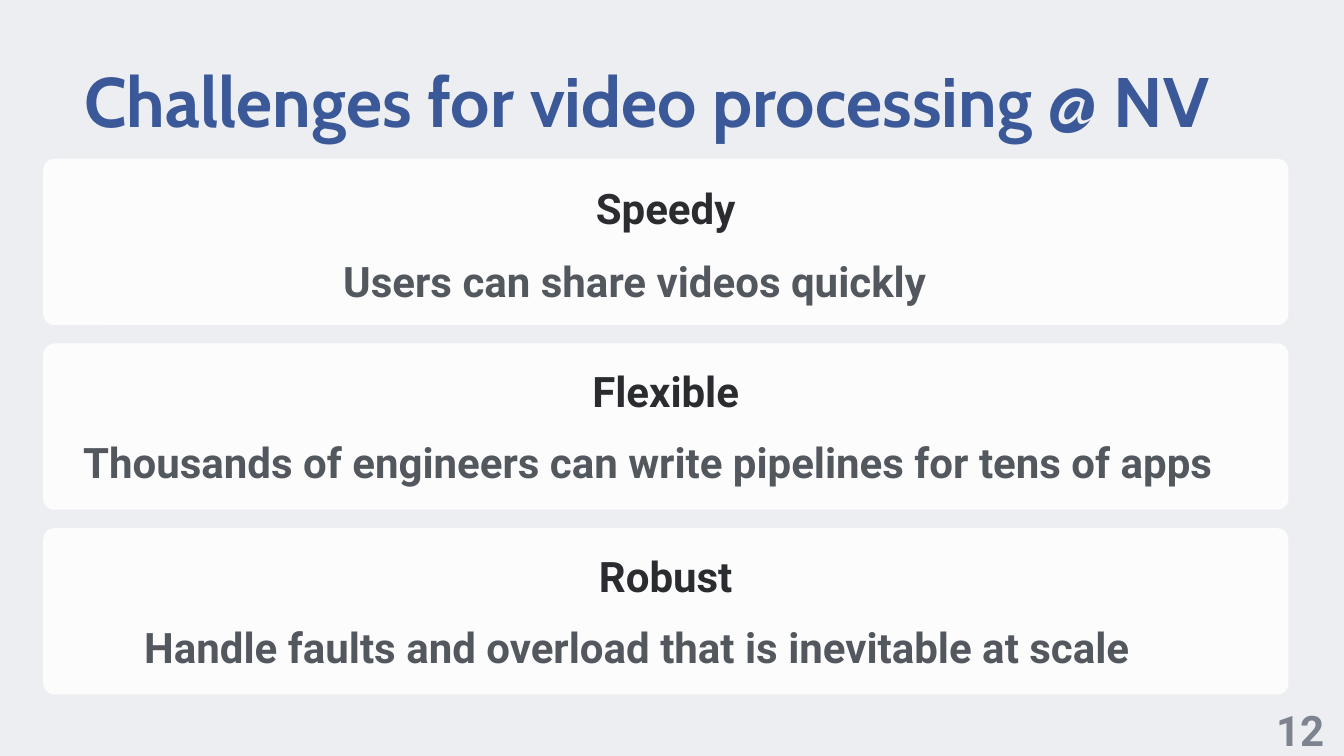
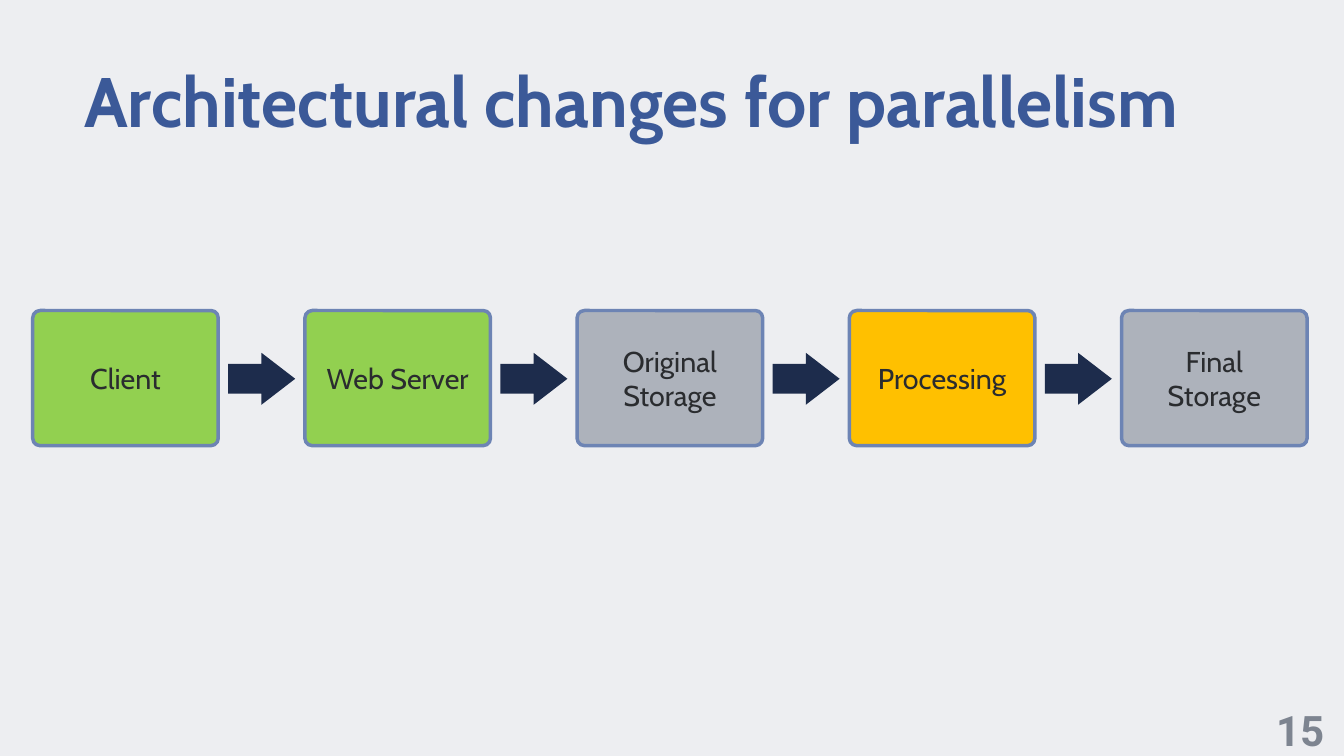
from lxml import etree
from pptx import Presentation
from pptx.dml.color import RGBColor
from pptx.enum import shapes, text
from pptx.oxml.ns import qn
from pptx.util import Cm, Pt

PAPER = RGBColor(0xED, 0xEE, 0xF1)
BLUE = RGBColor(0x3B, 0x59, 0x98)
WHITE = RGBColor(0xFF, 0xFF, 0xFF)
INK = RGBColor(0x2A, 0x2C, 0x2F)
SLATE = RGBColor(0x53, 0x58, 0x5F)
DIM = RGBColor(0x7D, 0x84, 0x90)
NAVY = RGBColor(0x1D, 0x2C, 0x4C)
EDGE = RGBColor(0x6D, 0x84, 0xB4)
GREEN = RGBColor(0x92, 0xD0, 0x50)
GRAY = RGBColor(0xAD, 0xB2, 0xBB)
AMBER = RGBColor(0xFF, 0xC0, 0x00)

GOALS = [
    ("Speedy", 8.94, "Users can share videos quickly", 17.22, 12.62, 32.69),
    ("Flexible", 18.19, "Thousands of engineers can write pipelines for tens of apps",
     4.11, 21.77, 60.71),
    ("Robust", 27.48, "Handle faults and overload that is inevitable at scale",
     7.19, 31.06, 54.56),
]
STAGES = [
    ("Client", GREEN),
    ("Web Server", GREEN),
    ("Original\nStorage", GRAY),
    ("Processing", AMBER),
    ("Final\nStorage", GRAY),
]
CARD_LEFT, CARD_TOP, CARD_WIDE, CARD_HIGH, CARD_STEP = 2.18, 8, 62.76, 8.38, 9.31
BOX_LEFT, BOX_TOP, BOX_WIDE, BOX_HIGH, BOX_STEP = 1.65, 15.65, 9.35, 6.81, 13.72
ARROW_LEFT, ARROW_TOP, ARROW_WIDE, ARROW_HIGH = 11.5, 17.78, 3.38, 2.62


def inset(frame, side, rise):
    frame.margin_left = frame.margin_right = Cm(side)
    frame.margin_top = frame.margin_bottom = Cm(rise)


def style(frame, words, size, face, color, bold=True, align=text.PP_ALIGN.LEFT, space=None):
    frame.text = words
    frame.word_wrap = True
    for para in frame.paragraphs:
        para.alignment = align
        para.line_spacing = space
        for run in para.runs:
            run.font.size = Pt(size)
            run.font.name = face
            run.font.bold = bold
            run.font.color.rgb = color


def label(slide, words, area, color, align, side=0.08, rise=0):
    frame = slide.shapes.add_textbox(*map(Cm, area)).text_frame
    inset(frame, side, rise)
    style(frame, words, 60, "Roboto", color, align=align, space=1.1)
    return frame


def block(slide, kind, area, color, *bends):
    shape = slide.shapes.add_shape(kind, *map(Cm, area))
    shape.shadow.inherit = False
    shape.fill.solid()
    shape.fill.fore_color.rgb = color
    shape.line.fill.background()
    for index, bend in enumerate(bends):
        shape.adjustments[index] = bend
    return shape


def start(deck, words):
    slide = deck.slides.add_slide(deck.slide_layouts[5])
    title = slide.shapes.title
    title.left, title.top, title.width, title.height = map(Cm, (4.24, 2.9, 59.26, 5.1))
    frame = title.text_frame
    inset(frame, 0, 0)
    frame.vertical_anchor = text.MSO_ANCHOR.TOP
    frame.auto_size = text.MSO_AUTO_SIZE.NONE
    style(frame, words, 100, "Cabin", BLUE)
    return slide


def number(slide, words):
    frame = label(slide, words, (63.5, 35.1, 4.06, 3.07), DIM,
                  text.PP_ALIGN.CENTER, 0.25, 0.13)
    frame.auto_size = text.MSO_AUTO_SIZE.SHAPE_TO_FIT_TEXT


def goals(deck):
    slide = start(deck, "Challenges for video processing @ NV")
    for row, (head, head_top, body, left, top, wide) in enumerate(GOALS):
        area = CARD_LEFT, CARD_TOP + row * CARD_STEP, CARD_WIDE, CARD_HIGH
        card = block(slide, shapes.MSO_SHAPE.ROUNDED_RECTANGLE, area, WHITE, 0.067)
        tint = card.fill._xPr.find(".//" + qn("a:srgbClr"))
        etree.SubElement(tint, qn("a:alpha")).set("val", "87000")
        label(slide, head, (29.11, head_top, 8.89, 3.58), INK, text.PP_ALIGN.CENTER)
        label(slide, body, (left, top, wide, 2.5), SLATE, text.PP_ALIGN.LEFT)
    number(slide, "12")


def stages(deck):
    slide = start(deck, "Architectural changes for parallelism")
    for col, (words, color) in enumerate(STAGES):
        shift = col * BOX_STEP
        if col < len(STAGES) - 1:
            area = ARROW_LEFT + shift, ARROW_TOP, ARROW_WIDE, ARROW_HIGH
            block(slide, shapes.MSO_SHAPE.RIGHT_ARROW, area, NAVY, 0.57, 0.65)
        area = BOX_LEFT + shift, BOX_TOP, BOX_WIDE, BOX_HIGH
        box = block(slide, shapes.MSO_SHAPE.ROUNDED_RECTANGLE, area, color, 0.054)
        box.line.color.rgb = EDGE
        box.line.width = Pt(5)
        frame = box.text_frame
        inset(frame, 0.1, 0.1)
        frame.vertical_anchor = text.MSO_ANCHOR.MIDDLE
        style(frame, words, 40.9, "Cabin", INK, False, text.PP_ALIGN.CENTER)
    number(slide, "15")


def main():
    deck = Presentation()
    deck.slide_width, deck.slide_height = Cm(67.74), Cm(38.1)
    fill = deck.slide_master.background.fill
    fill.solid()
    fill.fore_color.rgb = PAPER
    goals(deck)
    stages(deck)
    deck.save("out.pptx")


if __name__ == "__main__":
    main()
